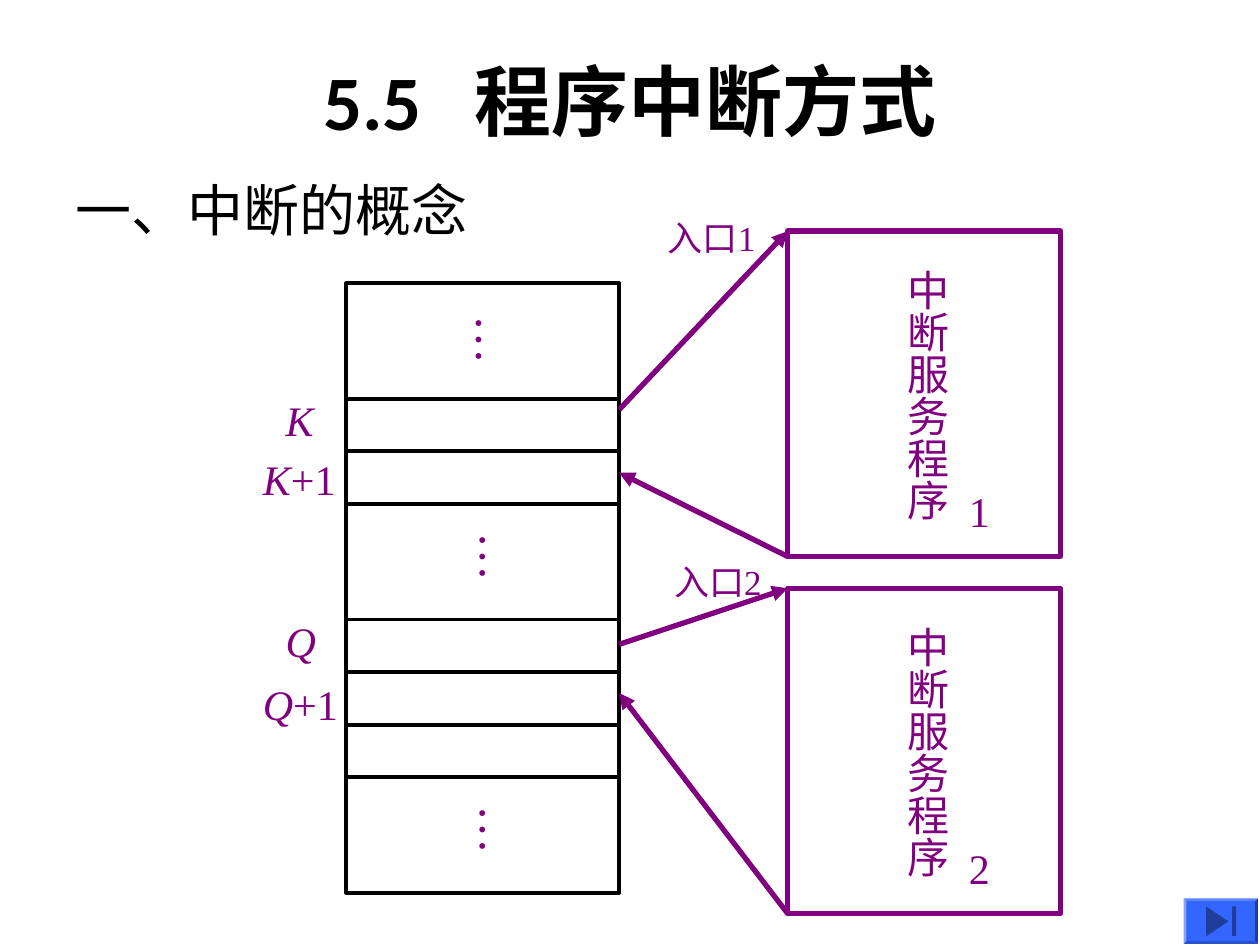
import pptx
import pptx.util
import pptx.dml.color
import pptx.enum.shapes
import pptx.enum.text
import pptx.oxml.ns
from lxml import etree

Cm = pptx.util.Cm
Pt = pptx.util.Pt
SHAPES = pptx.enum.shapes.MSO_SHAPE

COLOURS = {"ink": "000000", "interrupt": "800080",
           "button": "3366FF", "icon": "1F3D99"}
BODY_FONT = "Times New Roman"
TALL, SHORT = 2.33, 1.06
ROWS = [TALL, SHORT, SHORT, TALL, SHORT, SHORT, SHORT, TALL]


def colour(name):
    return pptx.dml.color.RGBColor.from_string(COLOURS[name])


def set_font(font, size, name="interrupt", face=BODY_FONT):
    font.name = face
    font.size = Pt(size)
    font.color.rgb = colour(name)


def add_text(page, words, left, top, width, height, size,
             name="interrupt", vertical=False, italic=0):
    box = page.shapes.add_textbox(Cm(left), Cm(top), Cm(width), Cm(height))
    frame = box.text_frame
    frame.word_wrap = not vertical
    frame.margin_right = 0
    if vertical:
        frame.auto_size = pptx.enum.text.MSO_AUTO_SIZE.SHAPE_TO_FIT_TEXT
        frame.margin_left = frame.margin_right = Cm(0.13)
        frame.margin_top = frame.margin_bottom = Cm(0.25)
        body = frame._txBody.find(pptx.oxml.ns.qn("a:bodyPr"))
        body.set("vert", "eaVert")
    para = frame.paragraphs[0]
    for part, slanted in ((words[:italic], True), (words[italic:], False)):
        if part:
            span = para.add_run()
            span.text = part
            if slanted:
                span.font.italic = True
    set_font(para.font, size, name)


def add_frame(page, left, top, width, height, name, weight):
    box = page.shapes.add_shape(
        SHAPES.RECTANGLE, Cm(left), Cm(top), Cm(width), Cm(height))
    box.shadow.inherit = False
    box.fill.background()
    box.line.color.rgb = colour(name)
    box.line.width = Pt(weight)


def add_solid(page, kind, left, top, width, height, name):
    shape = page.shapes.add_shape(kind, Cm(left), Cm(top), Cm(width), Cm(height))
    shape.shadow.inherit = False
    shape.fill.solid()
    shape.fill.fore_color.rgb = colour(name)
    shape.line.fill.background()
    return shape


def add_arrow(page, start, end):
    arrow = page.shapes.add_connector(
        pptx.enum.shapes.MSO_CONNECTOR.STRAIGHT,
        *(Cm(length) for length in (*start, *end)))
    arrow.line.color.rgb = colour("interrupt")
    arrow.line.width = Pt(3)
    qn = pptx.oxml.ns.qn
    etree.SubElement(arrow.line._get_or_add_ln(), qn("a:tailEnd"), type="triangle")
    etree.SubElement(arrow._element.spPr, qn("a:effectLst"))


def add_heading(page):
    title = page.shapes.title
    title.left, title.top = Cm(1.9), Cm(0.41)
    title.width, title.height = Cm(21.6), Cm(3.18)
    frame = title.text_frame
    frame.vertical_anchor = pptx.enum.text.MSO_ANCHOR.MIDDLE
    para = frame.paragraphs[0]
    number, gap, words = (para.add_run() for _ in range(3))
    number.text, gap.text, words.text = "5.5", " ", "程序中断方式"
    gap.font._element.set("spc", "2000")
    para.alignment = pptx.enum.text.PP_ALIGN.CENTER
    set_font(para.font, 44, "ink", "Calibri")
    para.font.bold = True
    add_text(page, "一、中断的概念", 1.27, 3.41, 10.24, 1.63, 32, "ink")


def add_program(page, left, top, width):
    row_top = top
    for height in ROWS:
        add_frame(page, left, row_top, width, height, "ink", 2.25)
        row_top += height
    for x, y in ((2.06, 0.4), (2.14, 4.77), (2.14, 10.27)):
        add_text(page, "…", left + x, top + y, 1.68, 1.24, 28, vertical=True)
    labels = (("K", 1.47, 2.11), ("K+1", 1.93, 3.3),
              ("Q", 1.47, 6.57), ("Q+1", 1.93, 7.84))
    for words, offset, y in labels:
        add_text(page, words, left - offset, top + y, offset, 1.27, 24, italic=1)


def add_service(page, number, left, top, program_edge, call_y, return_y, entry):
    width, height = 5.5, 6.56
    add_frame(page, left, top, width, height, "interrupt", 3)
    add_text(page, "中断服务程序", left + 1.93, top + 0.53, 1.52, 5.33, 24, vertical=True)
    add_text(page, number, left + 3.4, top + 5, 0.91, 1.27, 24)
    add_arrow(page, (program_edge, call_y), (left, top))
    add_arrow(page, (left, top + height), (program_edge, return_y))
    add_text(page, "入口" + number, left - entry[0], top - entry[1], 2.44, 1.12, 20)


def add_end_button(page, left, top, width, height):
    face = add_solid(page, SHAPES.BEVEL, left, top, width, height, "button")
    face.adjustments[0] = 0.06
    icon_top, icon_height = top + 0.16, height - 0.32
    play = add_solid(page, SHAPES.ISOSCELES_TRIANGLE, left + 0.38, icon_top + 0.08,
                     icon_height, 0.45, "icon")
    play.rotation = 90
    add_solid(page, SHAPES.RECTANGLE, left + 0.98, icon_top, 0.08, icon_height, "icon")


def main():
    deck = pptx.Presentation()
    deck.slide_width, deck.slide_height = Cm(25.4), Cm(19.05)
    page = deck.slides.add_slide(deck.slide_layouts[5])
    add_heading(page)
    left, width = 6.98, 5.5
    edge = left + width
    add_program(page, left, 5.71, width)
    add_service(page, "1", 15.88, 4.66, edge, 8.26, 9.53, (2.67, 0.42))
    add_service(page, "2", 15.88, 11.86, edge, 12.99, 13.97, (2.54, 0.68))
    add_end_button(page, 23.86, 18.11, 1.5, 0.92)
    deck.save("out.pptx")


if __name__ == "__main__":
    main()
